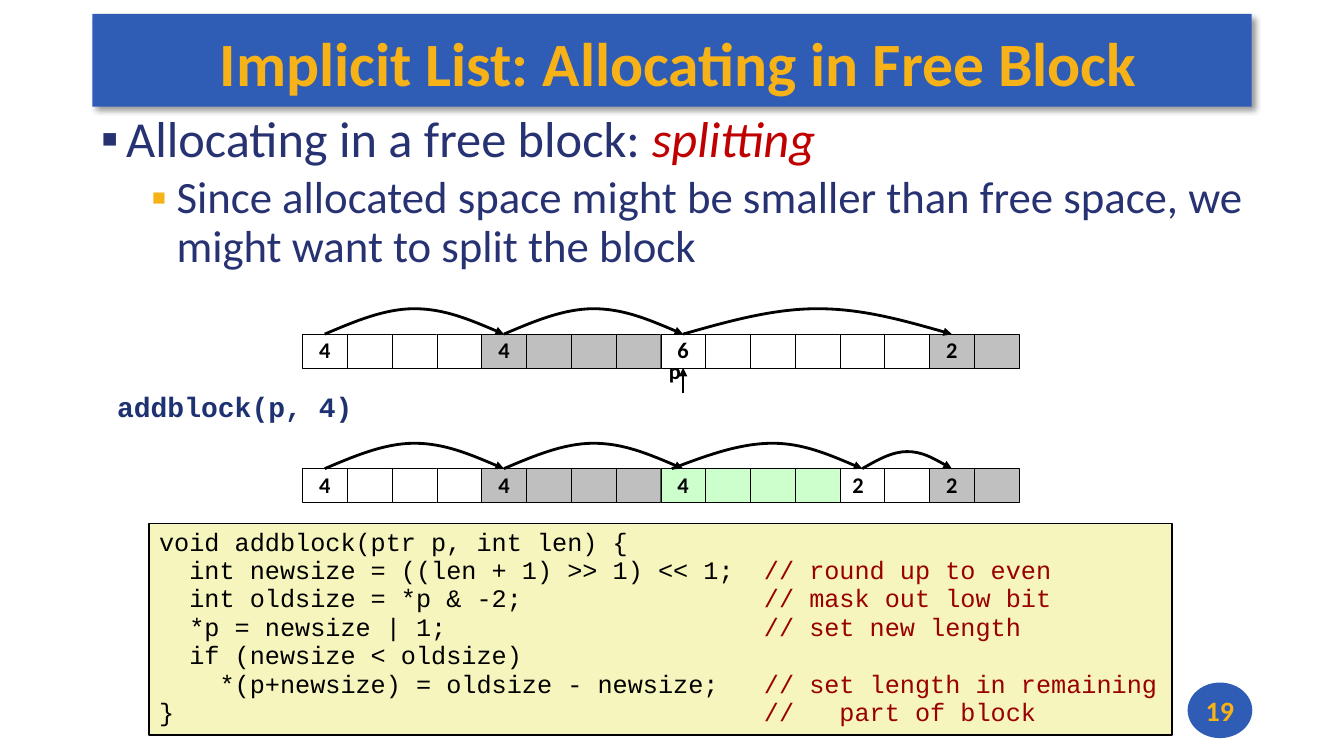
from lxml import etree
from pptx import Presentation
from pptx.dml.color import RGBColor
from pptx.enum import shapes, text
from pptx.oxml import ns
from pptx.util import Cm, Pt

BLUE = RGBColor(0x2F, 0x5C, 0xB5)
GOLD = RGBColor(0xF7, 0xB2, 0x17)
NAVY = RGBColor(0x27, 0x32, 0x72)
CALL_NAVY = RGBColor(0x1E, 0x32, 0x72)
RED = RGBColor(0xC0, 0x00, 0x00)
COMMENT_RED = RGBColor(0x99, 0x00, 0x00)
CREAM = RGBColor(0xF6, 0xF5, 0xBD)
GREEN = RGBColor(0xCC, 0xFF, 0xCC)
GREY = RGBColor(0xBF, 0xBF, 0xBF)
SILVER = RGBColor(0xC0, 0xC0, 0xC0)
WHITE = RGBColor(0xFF, 0xFF, 0xFF)
BLACK = RGBColor(0x00, 0x00, 0x00)


def write(para, content, size, color, font="Calibri", bold=False, italic=False):
    span = para.add_run()
    span.text = content
    span.font.name = font
    span.font.size = Pt(size)
    span.font.bold = bold
    span.font.italic = italic
    span.font.color.rgb = color


def make_arrow(shape):
    shape.line.color.rgb = BLACK
    shape.line.width = Pt(2)
    properties = shape.element.spPr
    line = properties.find(ns.qn("a:ln"))
    etree.SubElement(line, ns.qn("a:tailEnd"), type="triangle")
    etree.SubElement(properties, ns.qn("a:effectLst"))


deck = Presentation()
deck.slide_width = Cm(33.87)
deck.slide_height = Cm(19.05)
page = deck.slides.add_slide(deck.slide_layouts[5])

title = page.shapes.title
title.left, title.top, title.width, title.height = Cm(2.33), Cm(0.35), Cm(29.21), Cm(2.34)
title.fill.solid()
title.fill.fore_color.rgb = BLUE
effects = etree.SubElement(title.element.spPr, ns.qn("a:effectLst"))
shadow = etree.SubElement(effects, ns.qn("a:outerShdw"), blurRad=str(Pt(4)),
                          dist=str(Pt(3)), dir="2700000", algn="tl", rotWithShape="0")
shade = etree.SubElement(shadow, ns.qn("a:srgbClr"), val=str(BLACK))
etree.SubElement(shade, ns.qn("a:alpha"), val="40000")
frame = title.text_frame
frame.auto_size = text.MSO_AUTO_SIZE.NONE
frame.vertical_anchor = text.MSO_ANCHOR.MIDDLE
frame.margin_left, frame.margin_right = Cm(0.35), 0
frame.margin_top, frame.margin_bottom = Cm(0.12), Cm(0.04)
frame.paragraphs[0].alignment = text.PP_ALIGN.CENTER
write(frame.paragraphs[0], "Implicit List: Allocating in Free Block", 44, GOLD, bold=True)

body = page.shapes.add_textbox(Cm(2.29), Cm(2.74), Cm(29.39), Cm(4.4)).text_frame
body.word_wrap = True
points = [
    (0.64, NAVY, [("Allocating in a free block: ", 36, NAVY, False), ("splitting", 36, RED, True)]),
    (1.91, GOLD, [("Since allocated space might be smaller than free space, "
                   "we might want to split the block", 32, NAVY, False)]),
]
for level, (indent, bullet_color, spans) in enumerate(points):
    para = body.add_paragraph() if level else body.paragraphs[0]
    para.level = level
    para.line_spacing = 0.9
    para.space_before = Pt(5 * level)
    marks = para._p.get_or_add_pPr()
    marks.set("marL", str(Cm(indent)))
    marks.set("indent", str(Cm(-0.64)))
    color = etree.SubElement(marks, ns.qn("a:buClr"))
    etree.SubElement(color, ns.qn("a:srgbClr"), val=str(bullet_color))
    etree.SubElement(marks, ns.qn("a:buFont"), typeface="Arial")
    etree.SubElement(marks, ns.qn("a:buChar"), char="▪")
    for content, size, ink, italic in spans:
        write(para, content, size, ink, italic=italic)

code = """void addblock(ptr p, int len) {
  int newsize = ((len + 1) >> 1) << 1;  // round up to even
  int oldsize = *p & -2;                // mask out low bit
  *p = newsize | 1;                     // set new length
  if (newsize < oldsize)
    *(p+newsize) = oldsize - newsize;   // set length in remaining
}                                       //   part of block"""
panel = page.shapes.add_shape(shapes.MSO_SHAPE.RECTANGLE, Cm(3.76), Cm(13.19), Cm(25.78), Cm(5.33))
panel.shadow.inherit = False
panel.fill.solid()
panel.fill.fore_color.rgb = CREAM
panel.line.color.rgb = BLACK
panel.line.width = Pt(1)
frame = panel.text_frame
frame.word_wrap = False
frame.vertical_anchor = text.MSO_ANCHOR.TOP
for number, row in enumerate(code.split("\n")):
    para = frame.add_paragraph() if number else frame.paragraphs[0]
    para.alignment = text.PP_ALIGN.LEFT
    para.line_spacing = 0.94
    statement, slashes, remark = row.partition("//")
    write(para, statement, 18, BLACK, "Courier New")
    if slashes:
        write(para, slashes + remark, 18, COMMENT_RED, "Courier New")

heap_left, cell_width, cell_height = 7.62, 18.06 / 16, 0.85
heaps = [
    (8.42, [(4, WHITE, "4"), (4, GREY, "4"), (6, WHITE, "6"), (2, SILVER, "2")],
     [(0, 2, 4, 0.64), (4, 6, 8, 0.64), (8, 11, 14, 0.64)]),
    (11.81, [(4, WHITE, "4"), (4, GREY, "4"), (4, GREEN, "4"), (2, WHITE, ""), (2, SILVER, "2")],
     [(0, 2, 4, 0.64), (4, 6, 8, 0.64), (7.75, 10, 12, 0.64), (12, 13, 14, 0.43)]),
]
split_cells = []
for top, blocks, jumps in heaps:
    column = 0
    for length, fill, label in blocks:
        for word in range(length):
            cell = page.shapes.add_shape(
                shapes.MSO_SHAPE.RECTANGLE, Cm(heap_left + column * cell_width), Cm(top),
                Cm(cell_width), Cm(cell_height))
            cell.shadow.inherit = False
            cell.fill.solid()
            cell.fill.fore_color.rgb = fill
            cell.line.color.rgb = BLACK
            cell.line.width = Pt(0.25)
            if word == 0 and label:
                cell.text_frame.word_wrap = False
                para = cell.text_frame.paragraphs[0]
                para.alignment = text.PP_ALIGN.CENTER
                para.line_spacing = 0.98
                write(para, label, 16, BLACK, bold=True)
            if column == 8:
                split_cells.append(cell)
            column += 1
    for start, peak, end, rise in jumps:
        climb, fall = (peak - start) / 3, (end - peak) / 3
        controls = [(start, 0), (start + climb, 0.5), (peak - climb, 1), (peak, 1),
                    (peak + fall, 1), (end - fall, 0.5), (end, 0)]
        curve = [(Cm(heap_left + (place + 0.5) * cell_width), Cm(top - rise * lift))
                 for place, lift in controls]
        builder = page.shapes.build_freeform(*curve[0])
        builder.add_line_segments(curve[1:], close=False)
        jump = builder.convert_to_shape()
        outline = jump.element.spPr.find(".//" + ns.qn("a:path"))
        segments = outline.findall(ns.qn("a:lnTo"))
        for first in (0, 3):
            bend = etree.SubElement(outline, ns.qn("a:cubicBezTo"))
            for segment in segments[first:first + 3]:
                bend.append(segment[0])
                outline.remove(segment)
        jump.fill.background()
        make_arrow(jump)

pointer_x = Cm(heap_left + 8.5 * cell_width)
pointer = page.shapes.add_connector(
    shapes.MSO_CONNECTOR.STRAIGHT, pointer_x, Cm(9.91), pointer_x, Cm(9.27))
pointer.end_connect(split_cells[0], 2)
make_arrow(pointer)

labels = [
    ("p", 16.61, 8.92, 0.81, 0.94, 16, BLACK, "Calibri", 0.98, 0.25),
    ("2", 21.23, 11.77, 0.79, 0.94, 16, BLACK, "Calibri", 0.98, 0.25),
    ("addblock(p, 4)", 2.82, 9.82, 6.25, 1.02, 20, CALL_NAVY, "Courier New", 0.85, 0.13),
]
for content, left, top, width, height, size, color, font, spacing, margin in labels:
    frame = page.shapes.add_textbox(Cm(left), Cm(top), Cm(width), Cm(height)).text_frame
    frame.word_wrap = False
    frame.margin_left = frame.margin_right = Cm(margin)
    frame.paragraphs[0].line_spacing = spacing
    write(frame.paragraphs[0], content, size, color, font, bold=True)

badge = page.shapes.add_shape(shapes.MSO_SHAPE.OVAL, Cm(29.93), Cm(17.2), Cm(1.63), Cm(1.4))
badge.shadow.inherit = False
badge.fill.solid()
badge.fill.fore_color.rgb = BLUE
badge.line.fill.background()
badge.text_frame.word_wrap = False
badge.text_frame.paragraphs[0].alignment = text.PP_ALIGN.CENTER
write(badge.text_frame.paragraphs[0], "19", 20, GOLD, bold=True)

deck.save("out.pptx")
